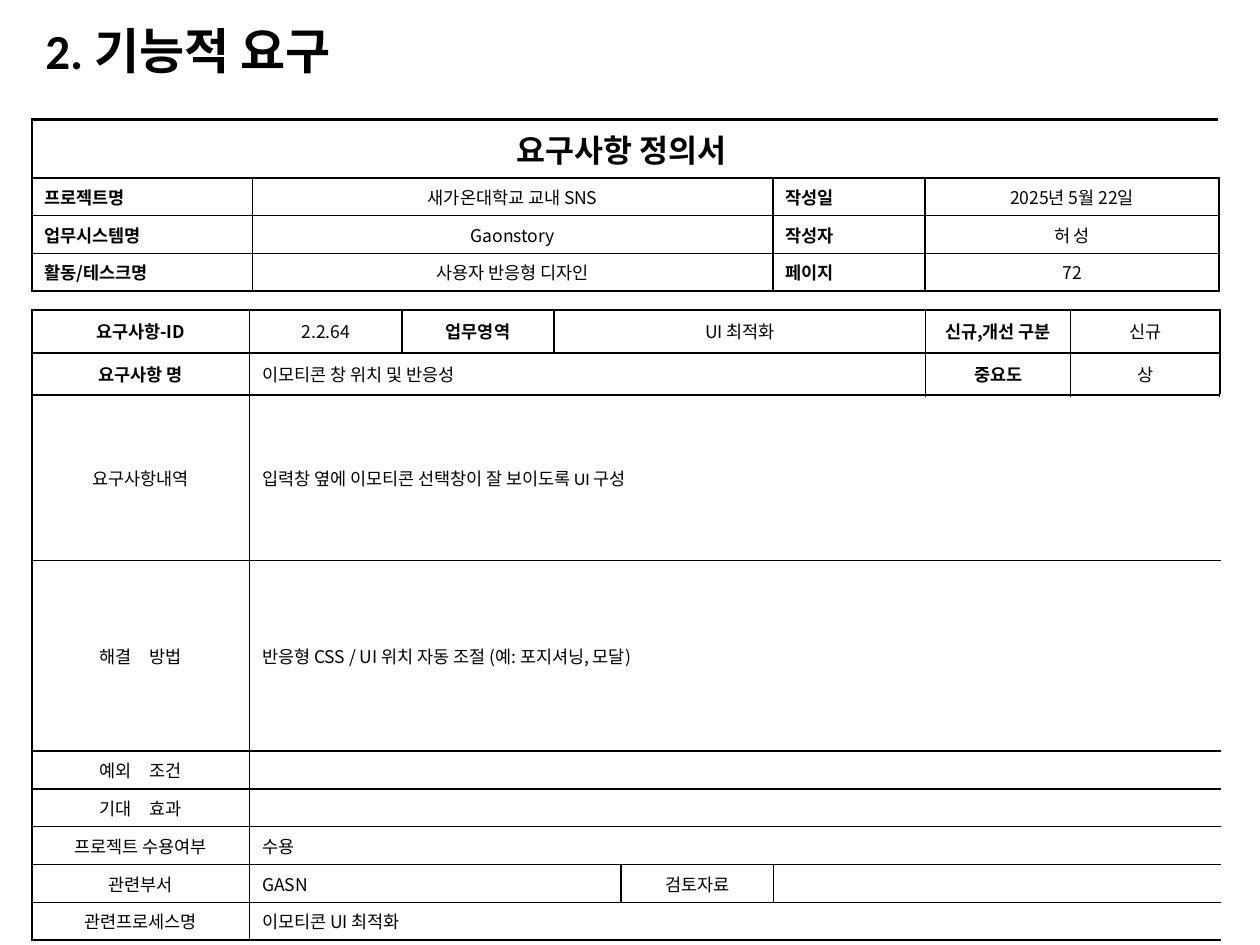
from lxml.etree import SubElement
from pptx import Presentation
from pptx.dml.color import RGBColor
from pptx.enum.text import MSO_ANCHOR, PP_ALIGN
from pptx.oxml.ns import qn
from pptx.util import Cm, Pt

INK = "000000"
SANS = "Noto Sans CJK KR"
LATIN = "Calibri"
THIN, THICK = 1, 1.5
LOOKS = {
    "banner": (PP_ALIGN.CENTER, True, SANS, 18),
    "field": (PP_ALIGN.JUSTIFY, True, SANS, 10),
    "head": (PP_ALIGN.CENTER, True, SANS, 10),
    "mid": (PP_ALIGN.CENTER, False, SANS, 10),
    "left": (PP_ALIGN.LEFT, False, SANS, 10),
    "note": (PP_ALIGN.LEFT, False, LATIN, 10),
}

INFO = [
    [("요구사항 정의서 ", 4, "banner")],
    [("프로젝트명", 1, "field"), ("새가온대학교 교내 SNS", 1, "mid"),
     ("작성일", 1, "field"), ("2025년 5월 22일", 1, "mid")],
    [("업무시스템명 ", 1, "field"), ("Gaonstory", 1, "mid"),
     ("작성자", 1, "field"), ("허 성", 1, "mid")],
    [("활동/테스크명", 1, "field"), ("사용자 반응형 디자인", 1, "mid"),
     ("페이지", 1, "field"), ("72", 1, "mid")],
]
DETAIL = [
    [("요구사항-ID", 1, "head"), ("2.2.64", 1, "mid"), ("업무영역", 1, "head"),
     ("UI 최적화", 3, "mid"), ("신규,개선 구분", 1, "head"), ("신규", 1, "mid")],
    [("요구사항 명", 1, "head"), ("이모티콘 창 위치 및 반응성", 5, "left"),
     ("중요도", 1, "head"), ("상", 1, "mid")],
    [("요구사항내역", 1, "mid"),
     ("입력창 옆에 이모티콘 선택창이 잘 보이도록 UI 구성", 7, "note")],
    [("해결　방법", 1, "mid"),
     ("반응형 CSS / UI 위치 자동 조절 (예: 포지셔닝, 모달)", 7, "left")],
    [("예외　조건", 1, "mid"), ("", 7, "left")],
    [("기대　효과", 1, "mid"), ("", 7, "left")],
    [("프로젝트 수용여부", 1, "mid"), ("수용", 7, "left")],
    [("관련부서", 1, "mid"), ("GASN", 3, "left"),
     ("검토자료", 1, "mid"), ("", 3, "left")],
    [("관련프로세스명", 1, "mid"), ("이모티콘 UI 최적화", 7, "left")],
]


def tint(text):
    return RGBColor.from_string(text)


def style(run, face, size, bold):
    font = run.font
    font.name, font.size, font.bold = face, Pt(size), bold
    font.color.rgb = tint(INK)
    SubElement(run._r.get_or_add_rPr(), qn("a:ea"), typeface=SANS)


def rule(cell, sides):
    props = cell._tc.get_or_add_tcPr()
    for side, width in sides.items():
        line = SubElement(props, qn("a:ln" + side), w=str(Pt(width)))
        fill = SubElement(line, qn("a:solidFill"))
        SubElement(fill, qn("a:srgbClr"), val=INK)
    cell.fill.background()


def write(cell, text, look):
    align, bold, face, size = LOOKS[look]
    cell.vertical_anchor = MSO_ANCHOR.MIDDLE
    cell.text_frame.text = text
    para = cell.text_frame.paragraphs[0]
    para.alignment = align
    gap = SubElement(para._p.get_or_add_pPr(), qn("a:spcBef"))
    SubElement(gap, qn("a:spcPct"), val="20000")
    for run in para.runs:
        style(run, face, size, bold)
    if not text:
        SubElement(para._p, qn("a:endParaRPr"), sz=str(size * 100))


def form(slide, left, top, cols, rows, data, heavy):
    frame = slide.shapes.add_table(
        len(rows), len(cols), Cm(left), Cm(top), Cm(sum(cols)), Cm(sum(rows)))
    table = frame.table
    table.first_row = table.horz_banding = False
    for col, width in zip(table.columns, cols):
        col.width = Cm(width)
    for row, height in zip(table.rows, rows):
        row.height = Cm(height)
    for r, items in enumerate(data):
        c = 0
        for text, span, look in items:
            last = c + span - 1
            for n in range(c, last + 1):
                sides = {}
                if n == c:
                    sides["L"] = THICK if n == 0 else THIN
                if n == last:
                    sides["R"] = THICK if n == len(cols) - 1 else THIN
                sides["T"] = THICK if r in heavy else THIN
                sides["B"] = THICK if r + 1 in heavy else THIN
                rule(table.cell(r, n), sides)
            if span > 1:
                table.cell(r, c).merge(table.cell(r, last))
            write(table.cell(r, c), text, look)
            c += span


def head(slide, left, top, width, height):
    title = slide.shapes.title
    title.left, title.top = Cm(left), Cm(top)
    title.width, title.height = Cm(width), Cm(height)
    frame = title.text_frame
    frame.text = "2. 기능적 요구"
    frame.vertical_anchor = MSO_ANCHOR.MIDDLE
    para = frame.paragraphs[0]
    para.alignment = PP_ALIGN.LEFT
    para.line_spacing = 0.9
    style(para.runs[0], LATIN, 28, True)


def main():
    deck = Presentation()
    deck.slide_width, deck.slide_height = Cm(25.4), Cm(19.05)
    slide = deck.slides.add_slide(deck.slide_layouts[5])
    head(slide, 0.66, 0.53, 13.6, 1.12)
    form(slide, 0.64, 6.25,
         [4.39, 3.07, 3.07, 1.35, 3.07, 3.07, 2.92, 3.02],
         [0.86, 0.86, 3.33, 3.84] + [0.69] * 5, DETAIL, {0, 1, 2, 9})
    form(slide, 0.64, 2.41, [4.45, 10.49, 3.07, 5.92],
         [1.17] + [0.69] * 3, INFO, {0, 4})
    deck.save("out.pptx")


if __name__ == "__main__":
    main()
